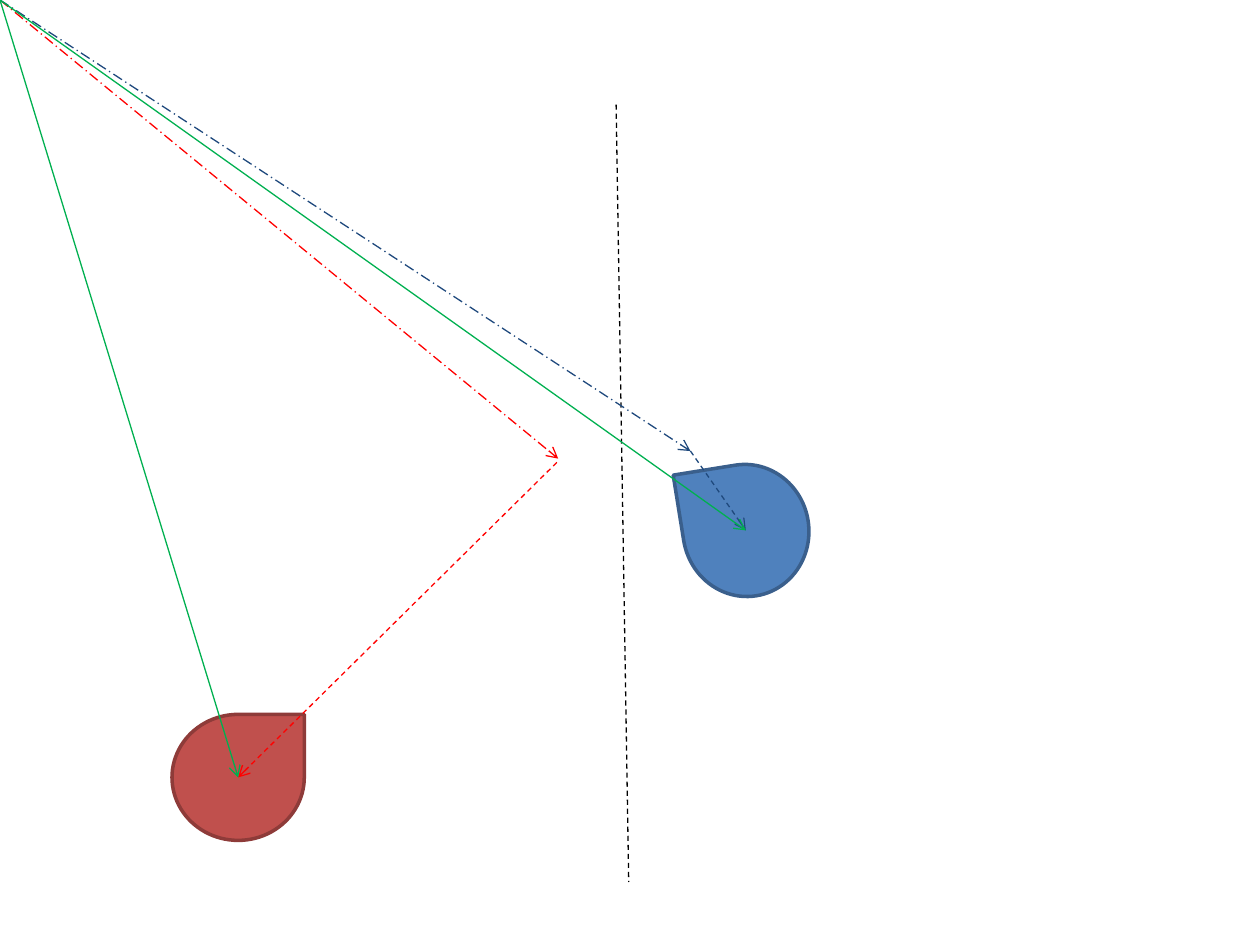
from lxml.etree import SubElement
from pptx import Presentation
from pptx.dml.color import RGBColor
from pptx.enum.dml import MSO_LINE
from pptx.enum.shapes import MSO_CONNECTOR, MSO_SHAPE
from pptx.oxml.ns import qn
from pptx.util import Inches, Pt

THEME = {
    "red body": "C0504D", "red edge": "8E3B39",
    "blue body": "4F81BD", "blue edge": "3A5F8C",
    "divider": "000000", "red path": "FF0000",
    "blue path": "1F497D", "position": "00B050",
    "edge width": 2, "path width": 0.75,
}

# Places on the slide, in inches
ORIGIN = (0, 0)
RED_CENTER, BLUE_CENTER = (1.89, 6.17), (5.92, 4.21)
RED_ANCHOR, BLUE_ANCHOR = (4.43, 3.64), (5.48, 3.58)
BODY_SIZE = (1.05, 1)

# Center, fill, edge, rotation
BODIES = [
    (RED_CENTER, "red body", "red edge", 0),
    (BLUE_CENTER, "blue body", "blue edge", 260.9),
]

# Start, end, colour, dash, arrowhead at the end
PATHS = [
    ((4.89, 0.83), (4.99, 7), "divider", MSO_LINE.DASH, False),
    ((4.42, 3.67), RED_CENTER, "red path", MSO_LINE.DASH, True),
    (BLUE_ANCHOR, BLUE_CENTER, "blue path", MSO_LINE.DASH, True),
    (ORIGIN, RED_ANCHOR, "red path", MSO_LINE.LONG_DASH_DOT, True),
    (ORIGIN, BLUE_ANCHOR, "blue path", MSO_LINE.LONG_DASH_DOT, True),
    (ORIGIN, RED_CENTER, "position", None, True),
    (ORIGIN, BLUE_CENTER, "position", None, True),
]


def color(role):
    return RGBColor.from_string(THEME[role])


def add_body(slide, center, fill, edge, rotation):
    width, height = BODY_SIZE
    left, top = center[0] - width / 2, center[1] - height / 2
    body = slide.shapes.add_shape(
        MSO_SHAPE.TEAR, Inches(left), Inches(top), Inches(width), Inches(height))
    body.rotation = rotation
    body.shadow.inherit = False
    body.fill.solid()
    body.fill.fore_color.rgb = color(fill)
    body.line.color.rgb = color(edge)
    body.line.width = Pt(THEME["edge width"])


def add_path(slide, start, end, role, dash, arrow):
    path = slide.shapes.add_connector(
        MSO_CONNECTOR.STRAIGHT, *(Inches(value) for value in start + end))
    path.line.color.rgb = color(role)
    path.line.width = Pt(THEME["path width"])
    if dash is not None:
        path.line.dash_style = dash
    properties = path.element.find(qn("p:spPr"))
    if arrow:
        SubElement(properties.find(qn("a:ln")), qn("a:tailEnd"), type="arrow")
    SubElement(properties, qn("a:effectLst"))


def main():
    deck = Presentation()
    deck.slide_width, deck.slide_height = Inches(10), Inches(7.5)
    slide = deck.slides.add_slide(deck.slide_layouts[6])

    # Teardrop bodies lie behind the lines
    for body in BODIES:
        add_body(slide, *body)

    # Divider and vectors
    for path in PATHS:
        add_path(slide, *path)

    deck.save("out.pptx")


if __name__ == "__main__":
    main()
